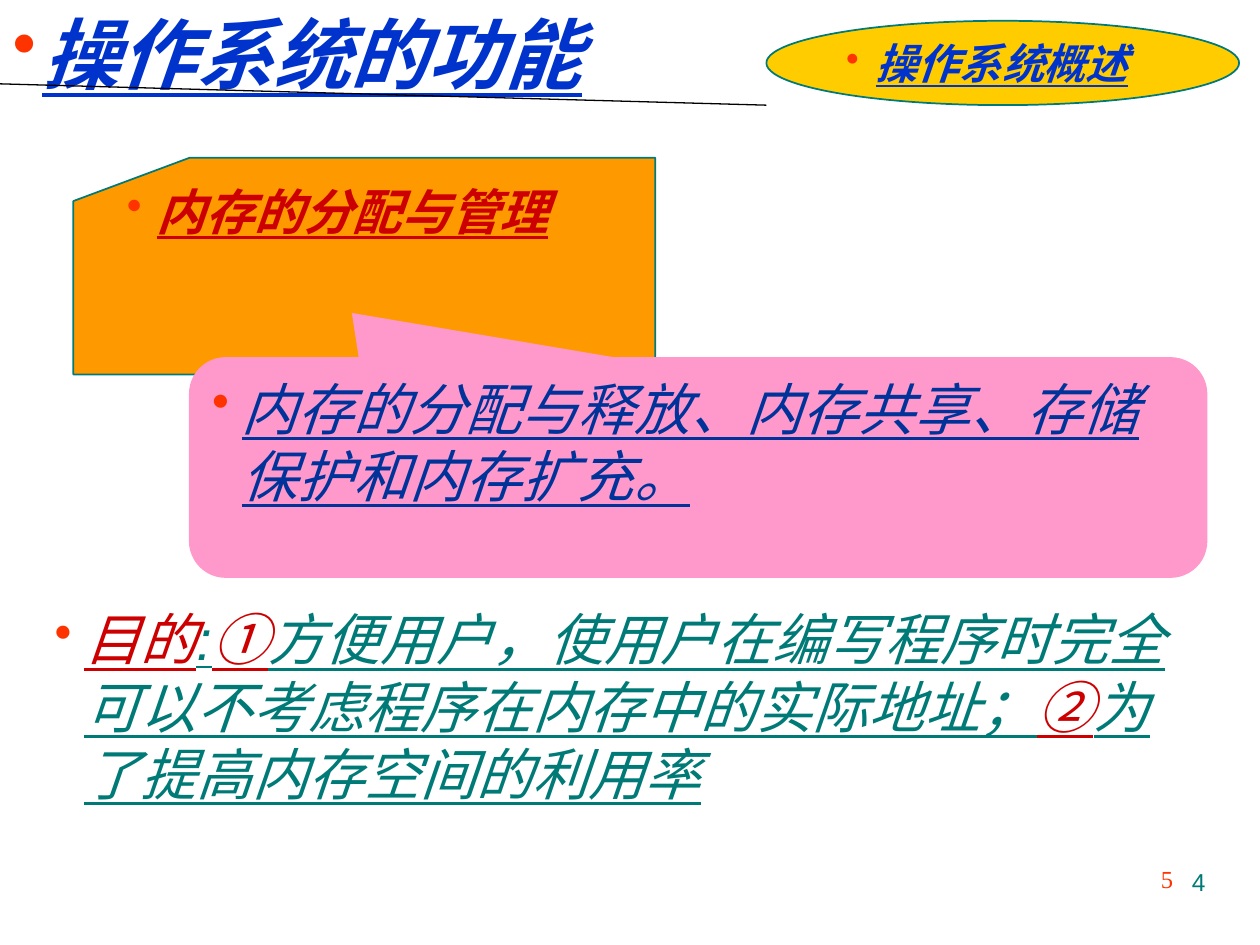
from typing import NamedTuple

import pptx
import pptx.dml.color
import pptx.enum.shapes
import pptx.enum.text
import pptx.oxml.ns
import pptx.util
from lxml import etree

Cm = pptx.util.Cm
SHAPE = pptx.enum.shapes.MSO_SHAPE
ALIGN = pptx.enum.text.PP_ALIGN

COLORS = {
    "blue": "0033CC", "navy": "003399", "teal": "007A77", "red": "CC0000",
    "bullet": "FF3300", "orange": "FF9900", "yellow": "FFCC00",
    "pink": "FF99CC", "black": "000000",
}
SANS, SERIF, CJK = "Arial", "Times New Roman", "Noto Sans CJK SC"
HANGING = Cm(0.6)


class Box(NamedTuple):
    left: float
    top: float
    width: float
    height: float

    def lengths(self) -> list:
        return [Cm(value) for value in self]


class Piece(NamedTuple):
    text: str
    font: str
    color: str


def rgb(name: str) -> pptx.dml.color.RGBColor:
    return pptx.dml.color.RGBColor.from_string(COLORS[name])


def add_bullet(paragraph) -> None:
    properties = paragraph._p.get_or_add_pPr()
    properties.set("marL", str(HANGING))
    properties.set("indent", str(-HANGING))
    qn = pptx.oxml.ns.qn
    color = etree.SubElement(properties, qn("a:buClr"))
    etree.SubElement(color, qn("a:srgbClr"), val=COLORS["bullet"])
    etree.SubElement(properties, qn("a:buSzPct"), val="90000")
    etree.SubElement(properties, qn("a:buChar"), char="•")


def write_bullet(shape, pieces: list[Piece], size: float, bold: bool = False) -> None:
    """Fill a shape with one bulleted, italic, underlined paragraph."""
    frame = shape.text_frame
    frame.word_wrap = True
    frame.auto_size = pptx.enum.text.MSO_AUTO_SIZE.NONE
    frame.vertical_anchor = pptx.enum.text.MSO_ANCHOR.TOP
    paragraph = frame.paragraphs[0]
    paragraph.alignment = ALIGN.LEFT
    add_bullet(paragraph)
    for piece in pieces:
        run = paragraph.add_run()
        run.text = piece.text
        run.font.name = piece.font
        run.font.size = pptx.util.Pt(size)
        run.font.bold = bold
        run.font.italic = run.font.underline = True
        run.font.color.rgb = rgb(piece.color)


def add_panel(shapes, kind, box: Box, fill: str, outline: str | None = None):
    panel = shapes.add_shape(kind, *box.lengths())
    panel.shadow.inherit = False
    panel.fill.solid()
    panel.fill.fore_color.rgb = rgb(fill)
    if outline:
        panel.line.color.rgb = rgb(outline)
        panel.line.width = pptx.util.Pt(1)
    else:
        panel.line.fill.background()
    return panel


def add_number(shapes, text: str, box: Box, font: str, color: str) -> None:
    number = shapes.add_textbox(*box.lengths())
    number.text_frame.word_wrap = True
    paragraph = number.text_frame.paragraphs[0]
    paragraph.text = text
    paragraph.alignment = ALIGN.RIGHT
    run = paragraph.runs[0]
    run.font.name = font
    run.font.size = pptx.util.Pt(14)
    run.font.color.rgb = rgb(color)


def main() -> None:
    deck = pptx.Presentation()
    deck.slide_width, deck.slide_height = Cm(25.4), Cm(19.05)
    slide = deck.slides.add_slide(deck.slide_layouts[5])
    shapes = slide.shapes

    # Title and the rule below it
    title = shapes.title
    title.left, title.top, title.width, title.height = Box(0, 0, 13.2, 2.12).lengths()
    write_bullet(title, [Piece("操作系统的功能", SERIF, "blue")], 44, bold=True)
    rule = shapes.add_connector(
        pptx.enum.shapes.MSO_CONNECTOR.STRAIGHT, Cm(0), Cm(1.69), Cm(15.45), Cm(2.12))
    rule.line.color.rgb = rgb("black")
    rule.line.width = pptx.util.Pt(0.75)
    etree.SubElement(rule._element.spPr, pptx.oxml.ns.qn("a:effectLst"))

    # Topic card
    card = shapes.add_group_shape().shapes
    add_panel(card, SHAPE.FLOWCHART_CARD, Box(1.48, 3.18, 11.73, 4.37), "orange", "teal")
    topic = card.add_textbox(*Box(2.31, 3.53, 10.67, 1.45).lengths())
    write_bullet(topic, [Piece("内存的分配与管理", CJK, "red")], 28, bold=True)

    # Chapter badge
    badge = shapes.add_group_shape().shapes
    add_panel(badge, SHAPE.OVAL, Box(15.45, 0.42, 9.53, 1.7), "yellow", "teal")
    chapter = badge.add_textbox(*Box(16.81, 0.64, 7.26, 1.27).lengths())
    write_bullet(chapter, [Piece("操作系统概述", SERIF, "blue")], 24, bold=True)

    # Callout explaining the topic
    callout = add_panel(
        shapes, SHAPE.ROUNDED_RECTANGULAR_CALLOUT, Box(3.81, 7.2, 20.53, 4.45), "pink")
    callout.adjustments[0], callout.adjustments[1] = -0.34, -0.7
    write_bullet(callout, [
        Piece("内存的分配与释放、内存共享、存储保护和内存扩充。", SANS, "navy")], 32)

    # Purpose
    purpose = shapes.add_textbox(*Box(0.85, 12.07, 23.52, 4.37).lengths())
    write_bullet(purpose, [
        Piece("目的", SANS, "red"),
        Piece(":", SANS, "teal"),
        Piece("①", CJK, "red"),
        Piece("方便用户，使用户在编写程序时完全可以不考虑程序在内存中的实际地址；", SANS, "teal"),
        Piece("②", CJK, "red"),
        Piece("为了提高内存空间的利用率", SANS, "teal"),
    ], 32)

    # Page numbers
    add_number(shapes, "5", Box(21.4, 17.3, 2.5, 1.1), SERIF, "bullet")
    add_number(shapes, "4", Box(18.2, 17.36, 6.35, 1.32), SANS, "teal")

    deck.save("out.pptx")


if __name__ == "__main__":
    main()
